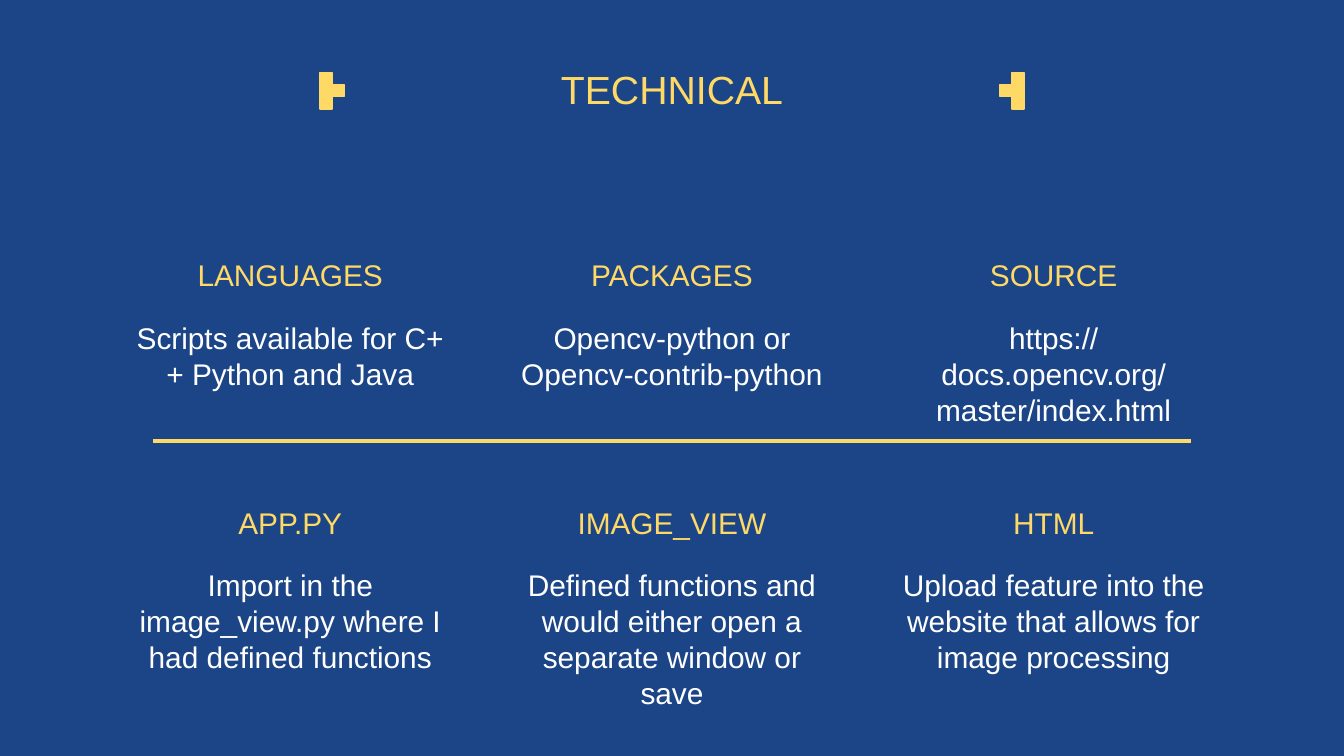
from dataclasses import dataclass

from lxml.etree import SubElement
from pptx import Presentation
from pptx.dml.color import RGBColor
from pptx.enum.shapes import MSO_CONNECTOR, MSO_SHAPE
from pptx.enum.text import MSO_ANCHOR, MSO_AUTO_SIZE, PP_ALIGN
from pptx.oxml.ns import qn
from pptx.util import Inches, Pt

# Content
TITLE = "TECHNICAL"
TOPICS = [
    [("LANGUAGES", ["Scripts available for C++ Python and Java"]),
     ("PACKAGES", ["Opencv-python or", "Opencv-contrib-python"]),
     ("SOURCE", ["https://docs.opencv.org/master/index.html"])],
    [("APP.PY", ["Import in the image_view.py where I had defined functions"]),
     ("IMAGE_VIEW", ["Defined functions and would either open a separate window or save"]),
     ("HTML", ["Upload feature into the website that allows for image processing"])],
]


@dataclass(frozen=True)
class Theme:
    background: RGBColor = RGBColor(0x1C, 0x45, 0x87)
    accent: RGBColor = RGBColor(0xFF, 0xD9, 0x66)
    text: RGBColor = RGBColor(0xFF, 0xFF, 0xFF)
    font: str = "Arial"
    title_size: float = 21
    body_size: float = 16


THEME = Theme()

# Layout in inches, on a 16:9 slide
WIDTH = 10
HEIGHT = WIDTH * 9 / 16
CENTER = WIDTH / 2
GRID_LEFT, GRID_TOP = 0.89, 1.85
CELL_WIDTH, ROW_STEP = 2.54, 1.84
COLUMN_STEP = (WIDTH - 2 * GRID_LEFT - CELL_WIDTH) / 2
HEADING_HEIGHT, BODY_HEIGHT = 0.43, 0.96
PIXEL, BRACKET_TOP, BRACKET_REACH = 0.09, 0.54, 2.62
RULE_Y, RULE_WIDTH = 3.28, 7.72


def write(box, lines, size, color, anchor):
    frame = box.text_frame
    frame.word_wrap = True
    frame.auto_size = MSO_AUTO_SIZE.NONE
    frame.vertical_anchor = anchor
    frame.margin_left = frame.margin_right = Inches(0.1)
    frame.margin_top = frame.margin_bottom = Inches(0.1)
    frame.text = "\n".join(lines)
    for para in frame.paragraphs:
        para.alignment = PP_ALIGN.CENTER
        para.font.name = THEME.font
        para.font.size = Pt(size)
        para.font.color.rgb = color


def add_text(slide, left, top, height, lines, color, anchor):
    box = slide.shapes.add_textbox(
        Inches(left), Inches(top), Inches(CELL_WIDTH), Inches(height))
    write(box, lines, THEME.body_size, color, anchor)


def add_bracket(slide, side):
    """Three stacked pixels and one pointing to the title; side is -1 or 1."""
    group = slide.shapes.add_group_shape()
    outer = CENTER + side * (BRACKET_REACH - PIXEL / 2)
    for inward, row in [(0, 0), (0, 1), (0, 2), (1, 1)]:
        left = outer - side * inward * PIXEL - PIXEL / 2
        pixel = group.shapes.add_shape(
            MSO_SHAPE.RECTANGLE, Inches(left), Inches(BRACKET_TOP + row * PIXEL),
            Inches(PIXEL), Inches(PIXEL))
        pixel.shadow.inherit = False
        pixel.fill.solid()
        pixel.fill.fore_color.rgb = THEME.accent
        pixel.line.color.rgb = THEME.accent
        pixel.line.width = Pt(0.75)


def main():
    deck = Presentation()
    deck.slide_width, deck.slide_height = Inches(WIDTH), Inches(HEIGHT)
    slide = deck.slides.add_slide(deck.slide_layouts.get_by_name("Title Only"))
    slide.background.fill.solid()
    slide.background.fill.fore_color.rgb = THEME.background

    # Title between its brackets
    title = slide.shapes.title
    title.left, title.top = Inches(0.34), Inches(0.31)
    title.width, title.height = Inches(9.32), Inches(0.63)
    write(title, [TITLE], THEME.title_size, THEME.accent, MSO_ANCHOR.BOTTOM)
    for side in (-1, 1):
        add_bracket(slide, side)

    # Grid of topics
    for row, topics in enumerate(TOPICS):
        top = GRID_TOP + row * ROW_STEP
        for column, (heading, body) in enumerate(topics):
            left = GRID_LEFT + column * COLUMN_STEP
            add_text(slide, left, top, HEADING_HEIGHT, [heading],
                     THEME.accent, MSO_ANCHOR.BOTTOM)
            add_text(slide, left, top + HEADING_HEIGHT, BODY_HEIGHT, body,
                     THEME.text, MSO_ANCHOR.TOP)

    # Rule between the rows
    rule = slide.shapes.add_connector(
        MSO_CONNECTOR.STRAIGHT,
        Inches(CENTER - RULE_WIDTH / 2), Inches(RULE_Y),
        Inches(CENTER + RULE_WIDTH / 2), Inches(RULE_Y))
    rule.line.color.rgb = THEME.accent
    rule.line.width = Pt(2.25)
    SubElement(rule.element.spPr, qn("a:effectLst"))

    deck.save("out.pptx")


if __name__ == "__main__":
    main()
